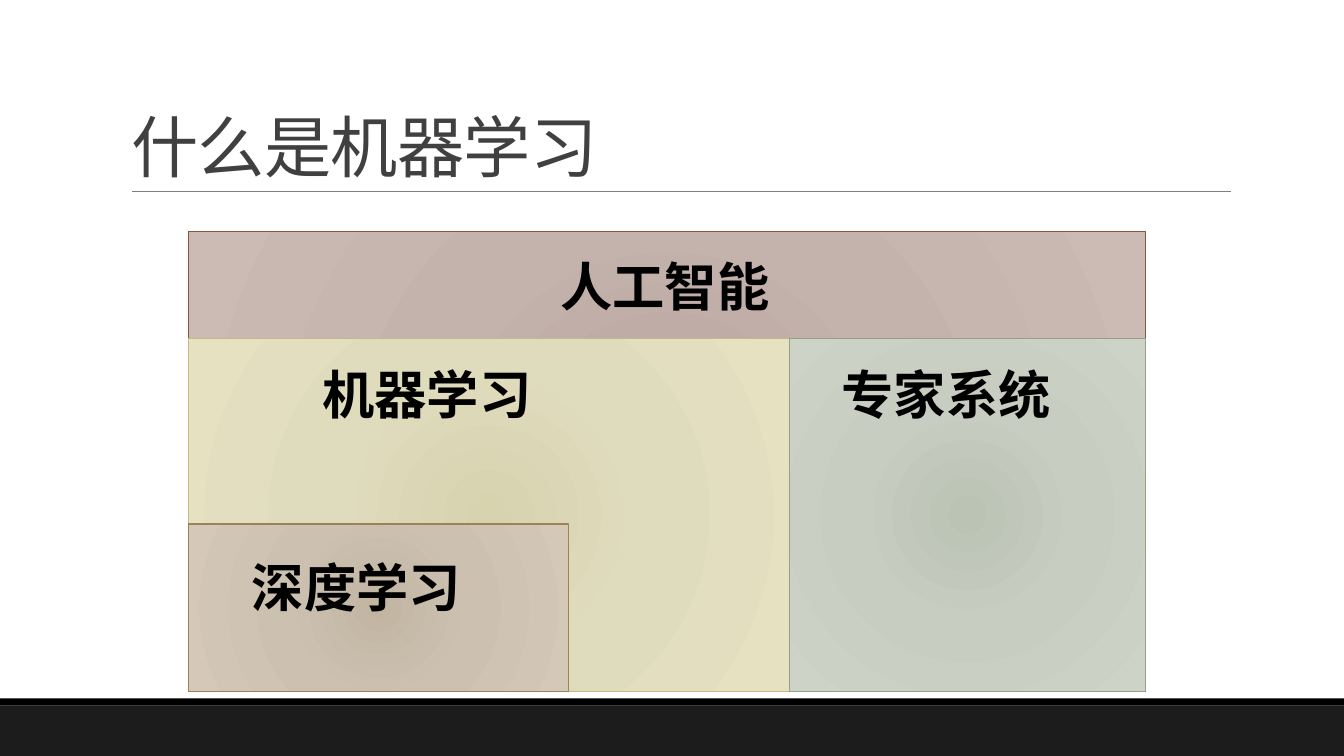
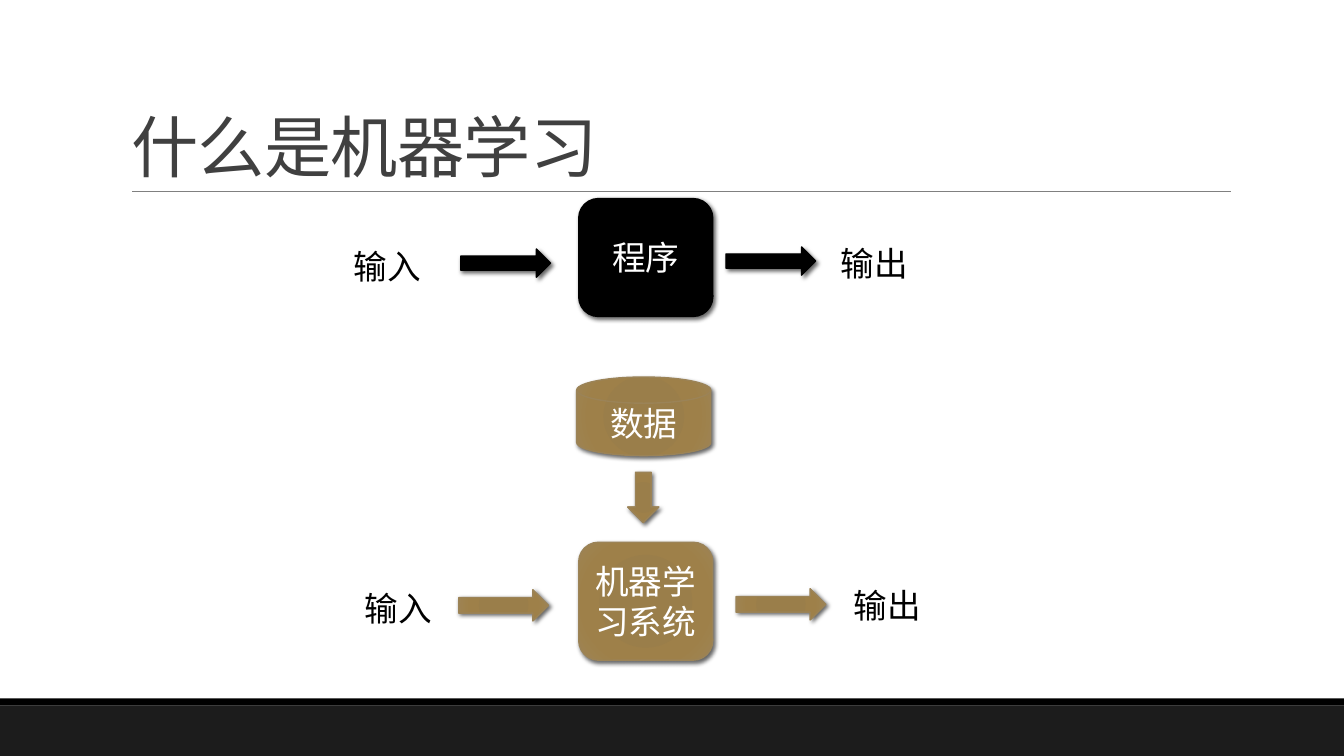
import pptx
import pptx.dml.color
import pptx.enum.shapes
import pptx.enum.text
import pptx.oxml
import pptx.oxml.ns
import pptx.util

Inches = pptx.util.Inches
Pt = pptx.util.Pt
Shape = pptx.enum.shapes.MSO_SHAPE
Anchor = pptx.enum.text.MSO_ANCHOR
Align = pptx.enum.text.PP_ALIGN

FONT = "Calibri"
TITLE = "什么是机器学习"
BLACK, WHITE, GREY = "000000", "FFFFFF", "404040"
BROWN_LINE = "9B8357"
BROWN = ((0, "9A7D48"), (34, "9A7E4A"), (70, "9E8049"), (100, "9E8454"))


def colour(hex_value):
    return pptx.dml.color.RGBColor.from_string(hex_value)


def parse_drawing(xml):
    namespace = pptx.oxml.ns.nsdecls("a")
    return pptx.oxml.parse_xml(xml.replace(" NS", " " + namespace, 1))


def set_fill(shape, fill):
    if isinstance(fill, str):
        shape.fill.solid()
        shape.fill.fore_color.rgb = colour(fill)
        return
    stops = "".join(
        f'<a:gs pos="{position * 1000}"><a:srgbClr val="{value}"/></a:gs>'
        for position, value in fill
    )
    gradient = parse_drawing(
        f'<a:gradFill NS rotWithShape="1"><a:gsLst>{stops}</a:gsLst>'
        '<a:path path="circle"><a:fillToRect l="100000" t="100000" '
        'r="100000" b="100000"/></a:path></a:gradFill>'
    )
    shape.element.spPr.insert(2, gradient)


def add_shadow(shape):
    effects = shape.element.spPr.find(pptx.oxml.ns.qn("a:effectLst"))
    effects.append(parse_drawing(
        f'<a:outerShdw NS blurRad="{Pt(3)}" dist="{Pt(2)}" dir="2700000" '
        'algn="tl" rotWithShape="0"><a:srgbClr val="000000">'
        '<a:alpha val="60000"/></a:srgbClr></a:outerShdw>'
    ))


def add_run(paragraph, text, size, text_colour, bold=False):
    run = paragraph.add_run()
    run.text = text
    run.font.name = FONT
    run.font.size = Pt(size)
    run.font.bold = bold
    run.font.color.rgb = colour(text_colour)
    return run


def add_box(slide, kind, bounds, fill, line=None):
    shape = slide.shapes.add_shape(kind, *map(Inches, bounds))
    shape.shadow.inherit = False
    set_fill(shape, fill)
    if line:
        shape.line.color.rgb = colour(line)
        shape.line.width = Pt(1)
    else:
        shape.line.fill.background()
    return shape


def add_block(slide, kind, bounds, fill, line, text=None):
    shape = add_box(slide, kind, bounds, fill, line)
    add_shadow(shape)
    if text:
        frame = shape.text_frame
        frame.vertical_anchor = Anchor.MIDDLE
        paragraph = frame.paragraphs[0]
        paragraph.alignment = Align.CENTER
        add_run(paragraph, text, 24, WHITE)
    return shape


def add_label(slide, bounds, text, size, bold=False, wrap=True):
    label = slide.shapes.add_textbox(*map(Inches, bounds))
    frame = label.text_frame
    frame.word_wrap = wrap
    frame.auto_size = pptx.enum.text.MSO_AUTO_SIZE.SHAPE_TO_FIT_TEXT
    add_run(frame.paragraphs[0], text, size, BLACK, bold)


def style_layout(layout, slide):
    title = next(iter(layout.placeholders))
    title.left, title.top = Inches(1.2), Inches(0.31)
    title.width, title.height = Inches(11), Inches(1.59)
    band = add_box(slide, Shape.RECTANGLE, (0, 7, 13.33, 0.5), "1C1C1C")
    stripe = add_box(slide, Shape.RECTANGLE, (0, 6.93, 13.33, 0.07), BLACK)
    rule = slide.shapes.add_connector(
        pptx.enum.shapes.MSO_CONNECTOR.STRAIGHT,
        Inches(1.31), Inches(1.9), Inches(12.21), Inches(1.9),
    )
    rule.line.color.rgb = colour("808080")
    rule.line.width = Pt(0.5)
    rule.element.spPr.append(parse_drawing("<a:effectLst NS/>"))
    for index, decoration in enumerate((band, stripe, rule), start=2):
        layout.shapes.element.insert(index, decoration.element)


def set_title(slide):
    frame = slide.shapes.title.text_frame
    frame.vertical_anchor = Anchor.BOTTOM
    paragraph = frame.paragraphs[0]
    paragraph.alignment = Align.LEFT
    paragraph.line_spacing = 0.85
    run = add_run(paragraph, TITLE, 48, GREY)
    run.font.element.set("spc", "-50") if hasattr(run.font, "element") else \
        run._r.get_or_add_rPr().set("spc", "-50")


def build_fields(slide):
    left, right, bottom, split, middle = 1.87, 11.36, 6.86, 7.83, 3.36
    panels = (
        (left, 2.3, right, ("B9A49E", "C4B2AD", "CCBAB5"), "865640"),
        (left, middle, split, ("D7D3AF", "DFDBBD", "E5E1C1"), "C2BC80"),
        (split, middle, right, ("BBC3B5", "C7CDC1", "CDD4C7"), "94A088"),
        (left, 5.2, 5.64, ("C2B5A2", "CCC1B1", "D4C8B8"), BROWN_LINE),
    )
    for start, top, end, shades, line in panels:
        bounds = (start, top, end - start, bottom - top)
        gradient = tuple(zip((0, 45, 100), shades))
        add_box(slide, Shape.RECTANGLE, bounds, gradient, line)
    labels = (
        (5.46, 2.47, "人工智能"),
        (8.25, 3.55, "专家系统"),
        (3.1, 3.55, "机器学习"),
        (2.4, 5.46, "深度学习"),
    )
    for x, y, text in labels:
        add_label(slide, (x, y, 2.31, 0.73), text, 37.3, bold=True, wrap=False)


def build_flow(slide, system, top, fill, line, arrows, arrow_height, labels):
    add_block(slide, Shape.ROUNDED_RECTANGLE, (5.74, top, 1.33, 1.17),
              fill, line, system)
    for x, y in arrows:
        add_block(slide, Shape.RIGHT_ARROW, (x, y, 0.89, arrow_height),
                  fill, line)
    for (x, y), text in zip(labels, ("输入", "输出")):
        add_label(slide, (x, y, 0.88, 0.5), text, 24)


def build_comparison(slide):
    build_flow(slide, "程序", 1.97, BLACK, BLACK,
               ((4.57, 2.47), (7.2, 2.45)), 0.28,
               ((3.41, 2.39), (8.24, 2.36)))
    add_block(slide, Shape.FLOWCHART_MAGNETIC_DISK, (5.72, 3.74, 1.33, 0.78),
              BROWN, BROWN_LINE, "数据")
    data_arrow = add_block(slide, Shape.RIGHT_ARROW, (6.13, 4.78, 0.5, 0.31),
                           BROWN, BROWN_LINE)
    data_arrow.rotation = 90
    build_flow(slide, "机器学习系统", 5.38, BROWN, BROWN_LINE,
               ((4.55, 5.85), (7.3, 5.84)), 0.31,
               ((3.52, 5.78), (8.37, 5.75)))


def main():
    presentation = pptx.Presentation()
    presentation.slide_width = Inches(13.33)
    presentation.slide_height = Inches(7.5)
    layout = presentation.slide_layouts.get_by_name("Title Only")
    slides = [presentation.slides.add_slide(layout) for _ in range(2)]
    style_layout(layout, slides[0])
    for slide, build in zip(slides, (build_fields, build_comparison)):
        set_title(slide)
        build(slide)
    presentation.save("out.pptx")


if __name__ == "__main__":
    main()
